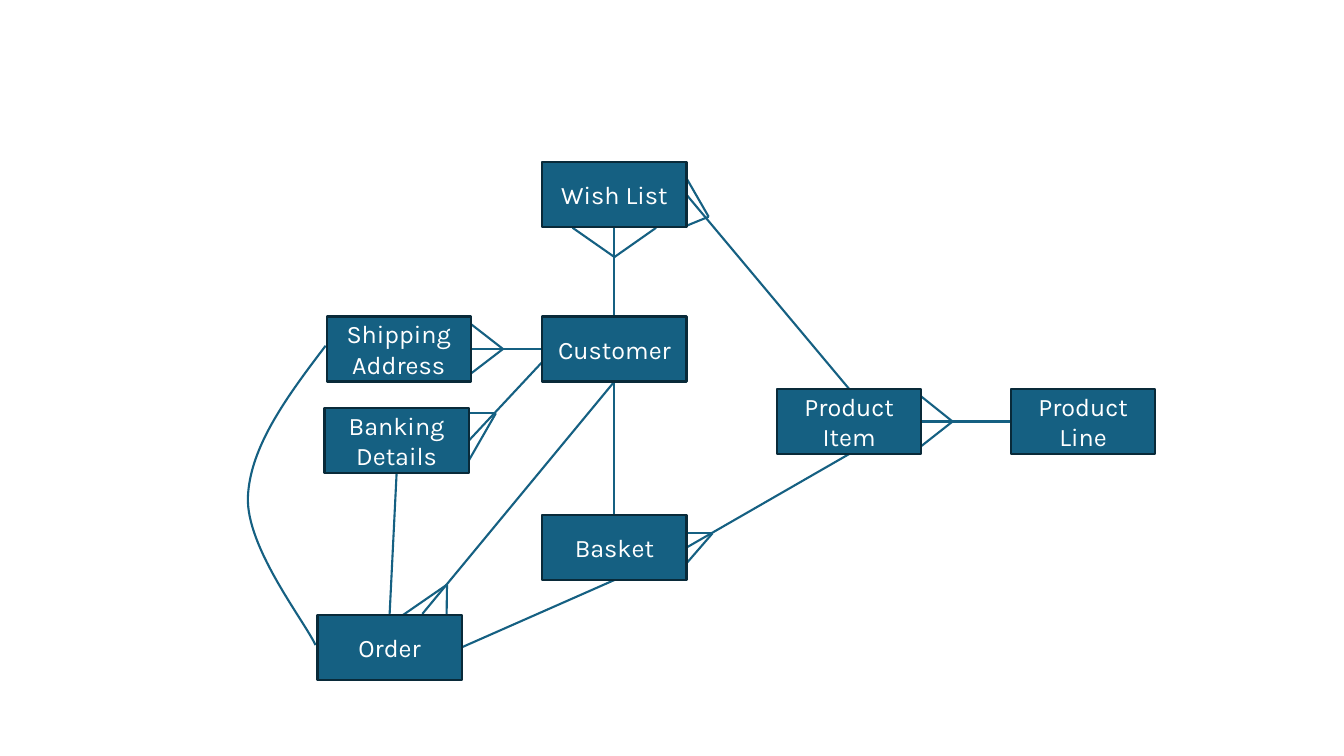
"""Draw an entity relationship diagram of an online shop."""
from dataclasses import dataclass

from lxml.etree import SubElement
from pptx import Presentation
from pptx.dml.color import RGBColor as Color
from pptx.enum.shapes import MSO_CONNECTOR as Connector, MSO_SHAPE as Shape
from pptx.enum.text import MSO_ANCHOR as Anchor, PP_ALIGN as Align
from pptx.oxml.ns import qn
from pptx.util import Pt

TOP, LEFT, BOTTOM, RIGHT = range(4)


@dataclass(frozen=True)
class Theme:
    fill: Color = Color.from_string("156082")
    border: Color = Color.from_string("092A39")
    text: Color = Color.from_string("FFFFFF")
    font: str = "Karla"
    text_size: float = 18
    line_width: float = 1.5
    box_width: float = 103
    box_height: float = 46.4


class Diagram:
    def __init__(self, slide, theme):
        self.slide = slide
        self.theme = theme
        self.entities = {}

    def style_line(self, line, color):
        line.color.rgb = color
        line.width = Pt(self.theme.line_width)

    def entity(self, name, left, top):
        theme = self.theme
        shape = self.slide.shapes.add_shape(
            Shape.RECTANGLE, Pt(left), Pt(top), Pt(theme.box_width), Pt(theme.box_height))
        shape.shadow.inherit = False
        shape.fill.solid()
        shape.fill.fore_color.rgb = theme.fill
        self.style_line(shape.line, theme.border)
        frame = shape.text_frame
        frame.word_wrap = True
        frame.vertical_anchor = Anchor.MIDDLE
        paragraph = frame.paragraphs[0]
        paragraph.text = name
        paragraph.alignment = Align.CENTER
        paragraph.font.name = theme.font
        paragraph.font.size = Pt(theme.text_size)
        paragraph.font.color.rgb = theme.text
        self.entities[name] = shape

    def send_behind_entities(self, shape):
        first_entity = next(iter(self.entities.values()))
        first_entity.element.addprevious(shape.element)

    def line(self, begin, end):
        points = [(0, 0) if isinstance(place[0], str) else place for place in (begin, end)]
        connector = self.slide.shapes.add_connector(
            Connector.STRAIGHT, *(Pt(value) for point in points for value in point))
        for place, connect in ((begin, connector.begin_connect), (end, connector.end_connect)):
            if isinstance(place[0], str):
                name, side = place
                connect(self.entities[name], side)
        self.style_line(connector.line, self.theme.fill)
        SubElement(connector.element.spPr, qn("a:effectLst"))
        self.send_behind_entities(connector)

    def crow_foot(self, tip, *toes):
        for toe in toes:
            self.line(tip, toe)

    def curve(self, start, *points):
        builder = self.slide.shapes.build_freeform(Pt(start[0]), Pt(start[1]))
        builder.add_line_segments([(Pt(x), Pt(y)) for x, y in points], close=False)
        shape = builder.convert_to_shape()
        shape.shadow.inherit = False
        shape.fill.background()
        self.style_line(shape.line, self.theme.fill)
        segments = list(shape.element.iter(qn("a:lnTo")))
        for index in range(0, len(segments), 3):
            bezier = SubElement(segments[index].getparent(), qn("a:cubicBezTo"))
            for segment in segments[index:index + 3]:
                bezier.append(segment[0])
                segment.getparent().remove(segment)
        self.send_behind_entities(shape)


ENTITIES = [
    ("Customer", 387.4, 226.1),
    ("Basket", 387.4, 367.9),
    ("Product Item", 555.1, 277.9),
    ("Product Line", 722.2, 277.9),
    ("Shipping Address", 233.3, 226.1),
    ("Banking Details", 231.8, 291.6),
    ("Wish List", 387.4, 115.9),
    ("Order", 226.8, 439.2),
]
RELATIONS = [
    (("Customer", BOTTOM), ("Basket", TOP)),
    (("Product Item", BOTTOM), ("Basket", RIGHT)),
    (("Product Line", LEFT), ("Product Item", RIGHT)),
    (("Customer", LEFT), ("Shipping Address", RIGHT)),
    ((387.4, 258.5), ("Banking Details", RIGHT)),
    (("Customer", TOP), ("Wish List", BOTTOM)),
    (("Product Item", TOP), ("Wish List", RIGHT)),
    (("Basket", BOTTOM), ("Order", RIGHT)),
    (("Customer", BOTTOM), (301.7, 438.5)),
    (("Banking Details", BOTTOM), ("Order", TOP)),
]
CROW_FEET = [
    ((509, 380.9), (490.3, 402.5), (489.6, 380.9)),
    ((680.4, 301.1), (655.9, 320.4), (655.9, 281.5)),
    ((359.3, 249.3), (334.1, 268.6), (334.1, 229.7)),
    ((354.2, 295.2), (331.9, 334.1), (331.9, 295.2)),
    ((438.9, 183.6), (468.7, 162.7), (409, 162.7)),
    ((506.2, 154.8), (490.3, 161.3), (489.6, 126)),
    ((319.3, 417.6), (288, 439.2), (319, 441.4)),
]
ADDRESS_TO_ORDER = [
    (232.6, 247), (205.2, 283), (178.6, 319), (177.1, 355),
    (175.7, 391), (217.4, 443.5), (225.4, 460.8),
]


def main():
    presentation = Presentation()
    presentation.slide_width, presentation.slide_height = Pt(960), Pt(540)
    slide = presentation.slides.add_slide(presentation.slide_layouts[6])
    diagram = Diagram(slide, Theme())
    for entity in ENTITIES:
        diagram.entity(*entity)
    for relation in RELATIONS:
        diagram.line(*relation)
    for foot in CROW_FEET:
        diagram.crow_foot(*foot)
    diagram.curve(*ADDRESS_TO_ORDER)
    presentation.save("out.pptx")


if __name__ == "__main__":
    main()
